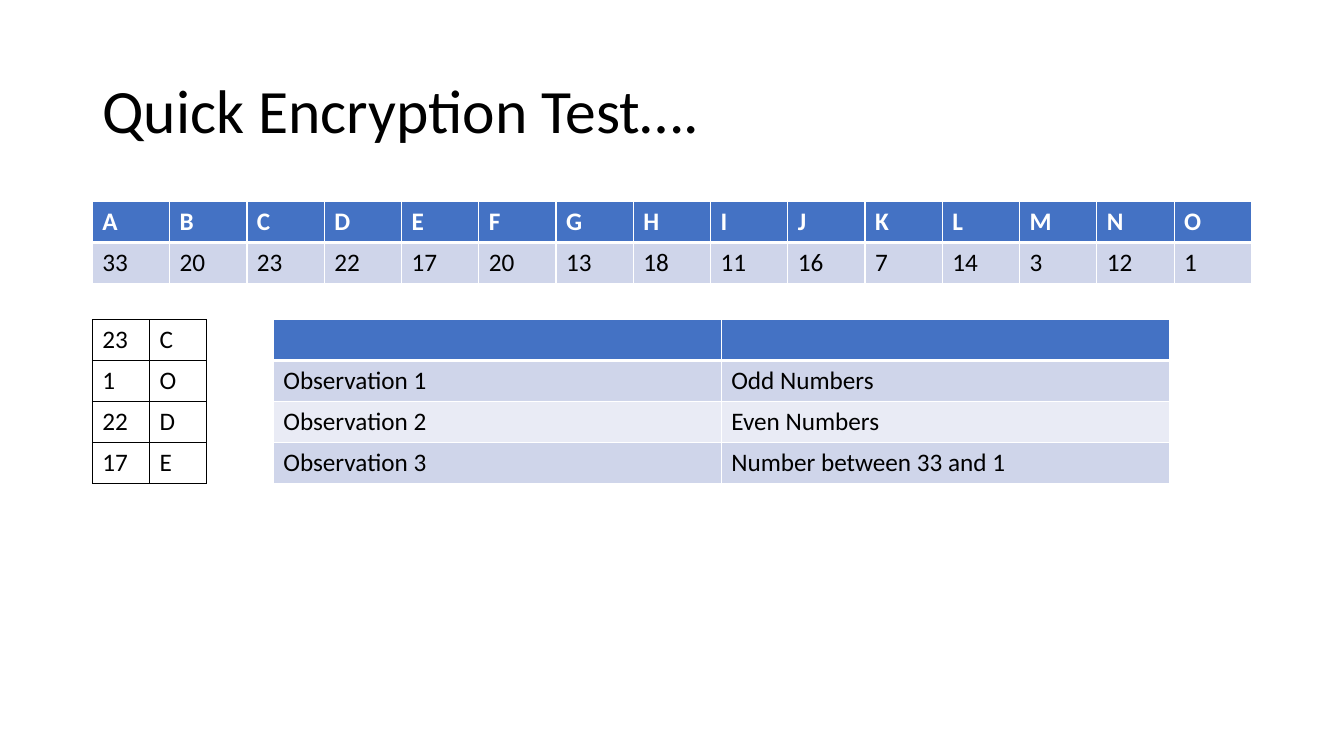
from dataclasses import dataclass

from lxml.etree import SubElement
from pptx import Presentation
from pptx.dml.color import RGBColor as RGB
from pptx.enum.text import MSO_ANCHOR as Anchor, MSO_AUTO_SIZE as AutoSize, PP_ALIGN as Align
from pptx.oxml.ns import qn
from pptx.util import Pt


@dataclass(frozen=True)
class Theme:
    font: str = "Calibri"
    title_size: int = 44
    cell_size: int = 18
    black: str = "000000"
    white: str = "FFFFFF"
    header: str = "4472C4"
    bands: tuple = ("CFD5EA", "E9EBF5")


T = Theme()
ROW_H = 29.2
LEFT = 66


def format_text(p, size, color, bold=False):
    formats = {"name": T.font, "size": Pt(size), "bold": bold}
    for key, value in formats.items():
        setattr(p.font, key, value)
    p.font.color.rgb = RGB.from_string(color)


def set_borders(cell, color, widths):
    """Draw the cell borders; widths maps the sides L, R, T, B to points."""
    tcPr = cell._tc.get_or_add_tcPr()
    for side, width in widths.items():
        ln = SubElement(tcPr, qn(f"a:ln{side}"), w=str(Pt(width)))
        fill = SubElement(ln, qn("a:solidFill"))
        SubElement(fill, qn("a:srgbClr"), val=color)


prs = Presentation()
prs.slide_width, prs.slide_height = Pt(960), Pt(540)
s = prs.slides.add_slide(prs.slide_layouts.get_by_name("Title Only"))

title = s.shapes.title
title.left, title.top, title.width, title.height = Pt(LEFT), Pt(28.8), Pt(828), Pt(104.4)
tf = title.text_frame
tf.text = "Quick Encryption Test…."
tf.word_wrap, tf.auto_size, tf.vertical_anchor = True, AutoSize.NONE, Anchor.MIDDLE
p = tf.paragraphs[0]
p.alignment, p.line_spacing = Align.LEFT, 0.9
format_text(p, T.title_size, T.black)

key_rows = [
    list("ABCDEFGHIJKLMNO"),
    [33, 20, 23, 22, 17, 20, 13, 18, 11, 16, 7, 14, 3, 12, 1],
]
word_rows = [(23, "C"), (1, "O"), (22, "D"), (17, "E")]
observation_rows = [
    ("", ""),
    ("Observation 1", "Odd Numbers"),
    ("Observation 2", "Even Numbers"),
    ("Observation 3", "Number between 33 and 1"),
]

# rows, left, top, column width, banded with a header row
tables = [
    (key_rows, LEFT, 144, 55.2, True),
    (word_rows, LEFT, 228.4, 40.8, False),
    (observation_rows, 195.2, 228.4, 320, True),
]
for rows, left, top, col_w, banded in tables:
    n_rows, n_cols = len(rows), len(rows[0])
    frame = s.shapes.add_table(n_rows, n_cols, Pt(left), Pt(top),
                               Pt(col_w * n_cols), Pt(ROW_H * n_rows))
    table = frame.table
    table.first_row = table.horz_banding = banded
    for col in table.columns:
        col.width = Pt(col_w)
    for i, row in enumerate(rows):
        table.rows[i].height = Pt(ROW_H)
        is_header = banded and i == 0
        widths = {"L": 1, "R": 1,
                  "T": 3 if banded and i == 1 else 1,
                  "B": 3 if is_header else 1}
        for j, value in enumerate(row):
            cell = table.cell(i, j)
            cell.text = str(value)
            format_text(cell.text_frame.paragraphs[0], T.cell_size,
                        T.white if is_header else T.black, is_header)
            set_borders(cell, T.white if banded else T.black, widths)
            if banded:
                cell.fill.solid()
                color = T.header if is_header else T.bands[(i - 1) % 2]
                cell.fill.fore_color.rgb = RGB.from_string(color)
            else:
                cell.fill.background()

prs.save("out.pptx")
